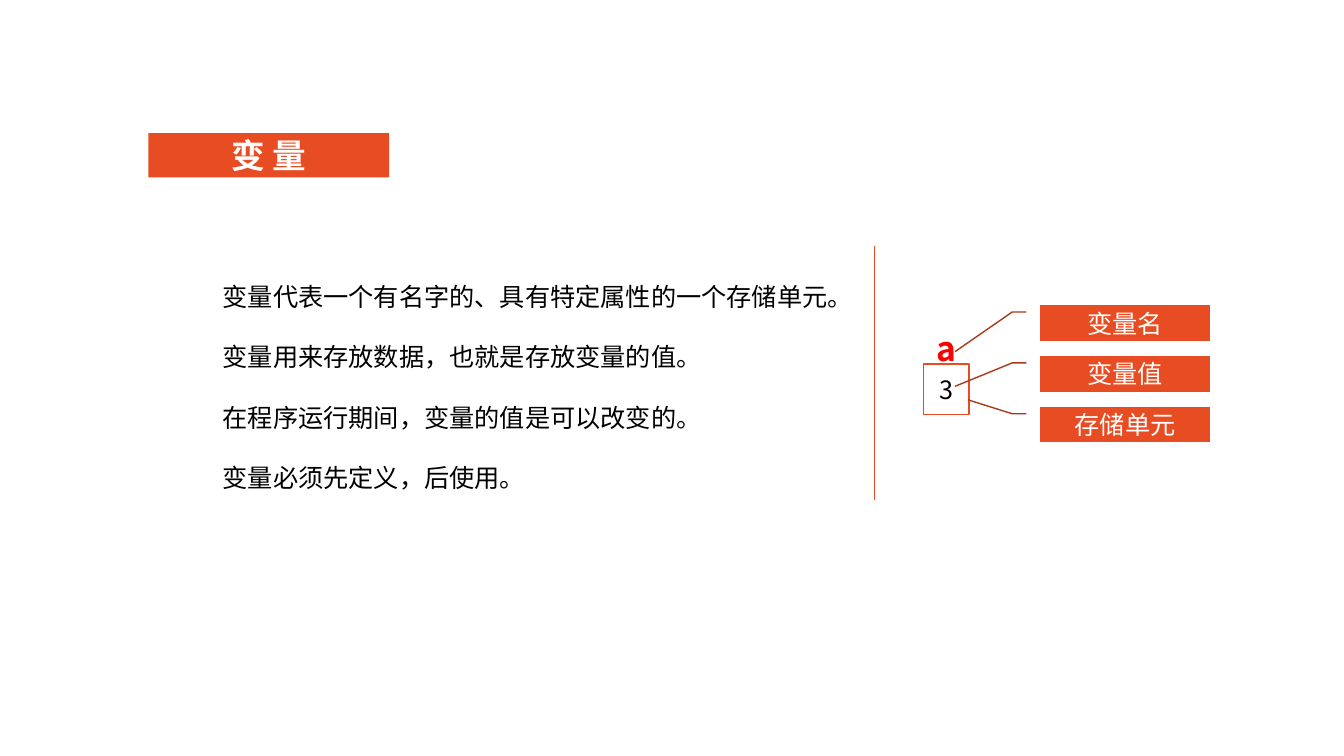
from pptx import Presentation, util as u
from pptx.dml.color import RGBColor
from pptx.enum import shapes as kinds, text
from pptx.oxml.ns import qn
from lxml import etree

THEME = {
    "font": "Noto Sans CJK SC",
    "accent": RGBColor(0xE8, 0x4C, 0x22), "leader": RGBColor(0xAC, 0x38, 0x19),
    "white": RGBColor(255, 255, 255), "black": RGBColor(0, 0, 0), "red": RGBColor(255, 0, 0),
    "heading": u.Pt(24), "body": u.Pt(18),
}

deck = Presentation()
deck.slide_width, deck.slide_height = u.Inches(13.33), u.Inches(7.5)
slide = deck.slides.add_slide(deck.slide_layouts[5])


def area(left, top, width, height):
    """Turn percentages of the slide's size into lengths."""
    across, down = deck.slide_width / 100, deck.slide_height / 100
    return [int(left * across), int(top * down), int(width * across), int(height * down)]


def write(part, lines, size, color, bold=False, align=text.PP_ALIGN.CENTER,
          anchor=text.MSO_ANCHOR.MIDDLE, spacing=1, **frame_format):
    """Fill a part with paragraphs, in one font for Latin and Chinese."""
    frame = part.text_frame
    frame.text = "\n".join(lines)
    frame_format = {"word_wrap": True, "vertical_anchor": anchor, **frame_format}
    for attribute, value in frame_format.items():
        setattr(frame, attribute, value)
    for paragraph in frame.paragraphs:
        paragraph.alignment, paragraph.line_spacing = align, spacing
        font = paragraph.runs[0].font
        for attribute, value in {"size": size, "bold": bold, "name": THEME["font"]}.items():
            setattr(font, attribute, value)
        font.color.rgb = color
        east_asian = etree.SubElement(paragraph.runs[0]._r.rPr, qn("a:ea"))
        east_asian.set("typeface", THEME["font"])


# Heading
heading = slide.shapes.title
heading.left, heading.top, heading.width, heading.height = area(11.03, 17.6, 17.93, 5.87)
heading.fill.solid()
heading.fill.fore_color.rgb = THEME["accent"]
write(heading, ["变 量"], THEME["heading"], THEME["white"], bold=True,
      auto_size=text.MSO_AUTO_SIZE.NONE,
      margin_left=0, margin_right=0, margin_top=0, margin_bottom=0)

# Facts about variables
facts = slide.shapes.add_textbox(*area(15.83, 32.53, 52.89, 33.6))
write(facts, [
    "变量代表一个有名字的、具有特定属性的一个存储单元。",
    "变量用来存放数据，也就是存放变量的值。",
    "在程序运行期间，变量的值是可以改变的。",
    "变量必须先定义，后使用。",
], THEME["body"], THEME["black"], align=text.PP_ALIGN.LEFT,
    anchor=text.MSO_ANCHOR.TOP, spacing=2)

# Variable name above its storage cell
variable = slide.shapes.add_textbox(*area(68.72, 42.67, 3.38, 6.67))
write(variable, ["a"], THEME["heading"], THEME["red"], bold=True, anchor=text.MSO_ANCHOR.TOP)

RECTANGLE = kinds.MSO_SHAPE.RECTANGLE
CALLOUT = kinds.MSO_SHAPE.LINE_CALLOUT_2_NO_BORDER
diagram = [(RECTANGLE, "3", area(68.72, 48.13, 3.38, 6.67), "white", "accent", "black", [])]

# Labels share the start of the leader; only its end point differs
leader_ends = {"变量名": (1.311, -0.505), "变量值": (0.852, -0.505), "存储单元": (-0.208, -0.429)}
for row, (label, end) in enumerate(leader_ends.items()):
    diagram.append((CALLOUT, label, area(77.42, 40.4 + 6.73 * row, 12.6, 4.67),
                    "accent", "leader", "white", [0.188, -0.083, 0.188, -0.167, *end]))

for kind, label, place, fill, outline, ink, leader in diagram:
    part = slide.shapes.add_shape(kind, *place)
    part.shadow.inherit = False
    part.fill.solid()
    part.fill.fore_color.rgb = THEME[fill]
    part.line.color.rgb = THEME[outline]
    part.line.width = u.Pt(1)
    for index, share in enumerate(leader):
        part.adjustments[index] = share
    write(part, [label], THEME["body"], THEME[ink])

# Divider between facts and diagram
left, top, _, height = area(65.04, 32.53, 0, 33.6)
divider = slide.shapes.add_connector(kinds.MSO_CONNECTOR.STRAIGHT, left, top, left, top + height)
divider.line.color.rgb = THEME["accent"]
divider.line.width = u.Pt(0.5)
etree.SubElement(divider._element.spPr, qn("a:effectLst"))

deck.save("out.pptx")
